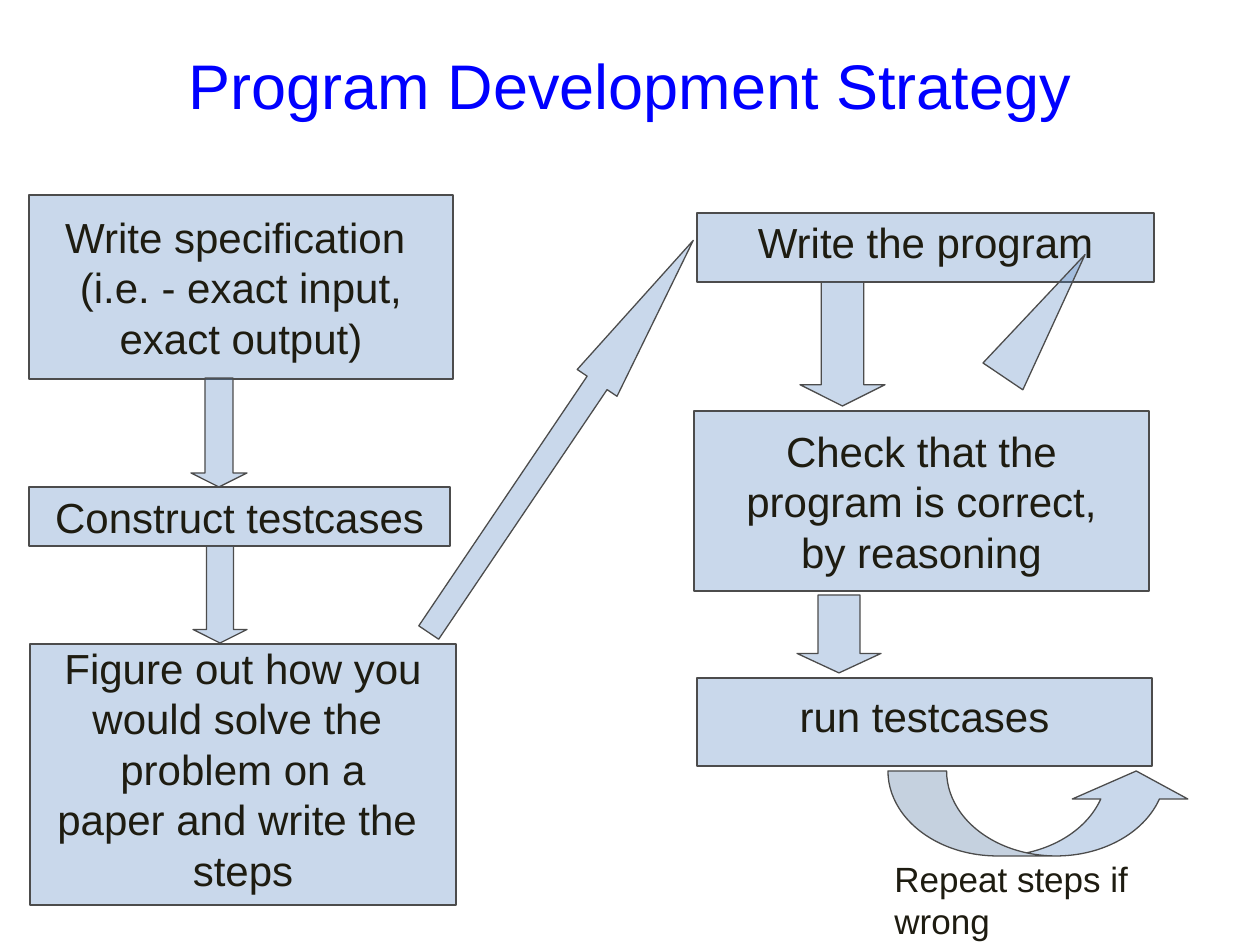
import pptx
import pptx.dml.color
import pptx.enum.shapes
import pptx.enum.text
import pptx.util
import pptx.oxml.ns
import lxml.etree

EMU_PER_PX = 914400 / 126
SHAPE = pptx.enum.shapes.MSO_SHAPE
ALIGN = pptx.enum.text.PP_ALIGN
ANCHOR = pptx.enum.text.MSO_ANCHOR


def px(length):
    return pptx.util.Emu(round(length * EMU_PER_PX))


def rgb(hex_code):
    return pptx.dml.color.RGBColor.from_string(hex_code)


class FlowSlide:
    font = "Arial"
    title_color, text_color = "0000FF", "1E1C11"
    fill_color, line_color = "4F81BD", "4C4C4C"
    opacity = 30

    def __init__(self, presentation):
        self.slide = presentation.slides.add_slide(presentation.slide_layouts[6])

    def set_text(self, frame, lines, size, color, align):
        frame.text = "\n".join(lines)
        for paragraph in frame.paragraphs:
            paragraph.alignment = align
            paragraph.font.name = self.font
            paragraph.font.size = pptx.util.Pt(size)
            paragraph.font.color.rgb = rgb(color)

    def label(self, box, text, size, color, align=ALIGN.LEFT, anchor=ANCHOR.TOP):
        frame = self.slide.shapes.add_textbox(*map(px, box)).text_frame
        frame.word_wrap = True
        frame.vertical_anchor = anchor
        self.set_text(frame, [text], size, color, align)

    def block(self, kind, box, adjustments=(), rotation=0):
        shape = self.slide.shapes.add_shape(kind, *map(px, box))
        shape.shadow.inherit = False
        shape.rotation = rotation
        for index, value in enumerate(adjustments):
            shape.adjustments[index] = value
        shape.fill.solid()
        shape.fill.fore_color.rgb = rgb(self.fill_color)
        qn = pptx.oxml.ns.qn
        color = shape.element.spPr.find(qn("a:solidFill"))[0]
        lxml.etree.SubElement(color, qn("a:alpha"), val=str(self.opacity * 1000))
        shape.line.color.rgb = rgb(self.line_color)
        shape.line.width = pptx.util.Pt(0.75)
        return shape

    def step(self, box, lines, raised=False):
        frame = self.block(SHAPE.RECTANGLE, box).text_frame
        frame.word_wrap = False
        frame.vertical_anchor = ANCHOR.MIDDLE
        # A raised text sits slightly above the middle of its box
        frame.margin_top, frame.margin_bottom = (0, px(12)) if raised else (px(6), px(6))
        self.set_text(frame, lines, 24, self.text_color, ALIGN.CENTER)

    def down_arrow(self, box):
        self.block(SHAPE.DOWN_ARROW, box, (0.5, 0.25))

    def slanted_arrow(self, box):
        self.block(SHAPE.UP_ARROW, box, (0.5, 3.58), rotation=34)


def main():
    presentation = pptx.Presentation()
    presentation.slide_width, presentation.slide_height = px(1260), px(945)
    flow = FlowSlide(presentation)

    # Title
    flow.label((63, 38, 1134, 92), "Program Development Strategy", 36,
               flow.title_color, ALIGN.CENTER, ANCHOR.MIDDLE)

    # Left column: planning
    flow.step((29, 195, 424, 184),
              ["Write specification ", "(i.e. - exact input,", "exact output)"])
    flow.down_arrow((191, 378, 56, 109))
    flow.step((29, 487, 421, 59), ["Construct testcases"])
    flow.down_arrow((193, 546, 54, 97))
    flow.step((30, 644, 426, 261),
              ["Figure out how you", "would solve the ", "problem on a",
               "paper and write the ", "steps"], raised=True)

    # From planning to programming
    flow.slanted_arrow((537, 200, 48, 473))

    # Right column: programming and checking
    flow.step((697, 213, 457, 69), ["Write the program"], raised=True)
    flow.step((697, 678, 455, 88), ["run testcases"], raised=True)
    flow.down_arrow((800, 282, 85, 124))

    # Repeat loop
    flow.block(SHAPE.CURVED_UP_ARROW, (888, 771, 306, 85), (0.69, 1.36, 0.33))
    flow.label((882, 851, 315, 97), "Repeat steps if wrong", 20, flow.text_color)

    flow.step((694, 411, 455, 180),
              ["Check that the", "program is correct,", "by reasoning"])
    flow.down_arrow((797, 595, 84, 78))
    flow.slanted_arrow((1020, 242, 48, 147))

    presentation.save("out.pptx")


if __name__ == "__main__":
    main()
